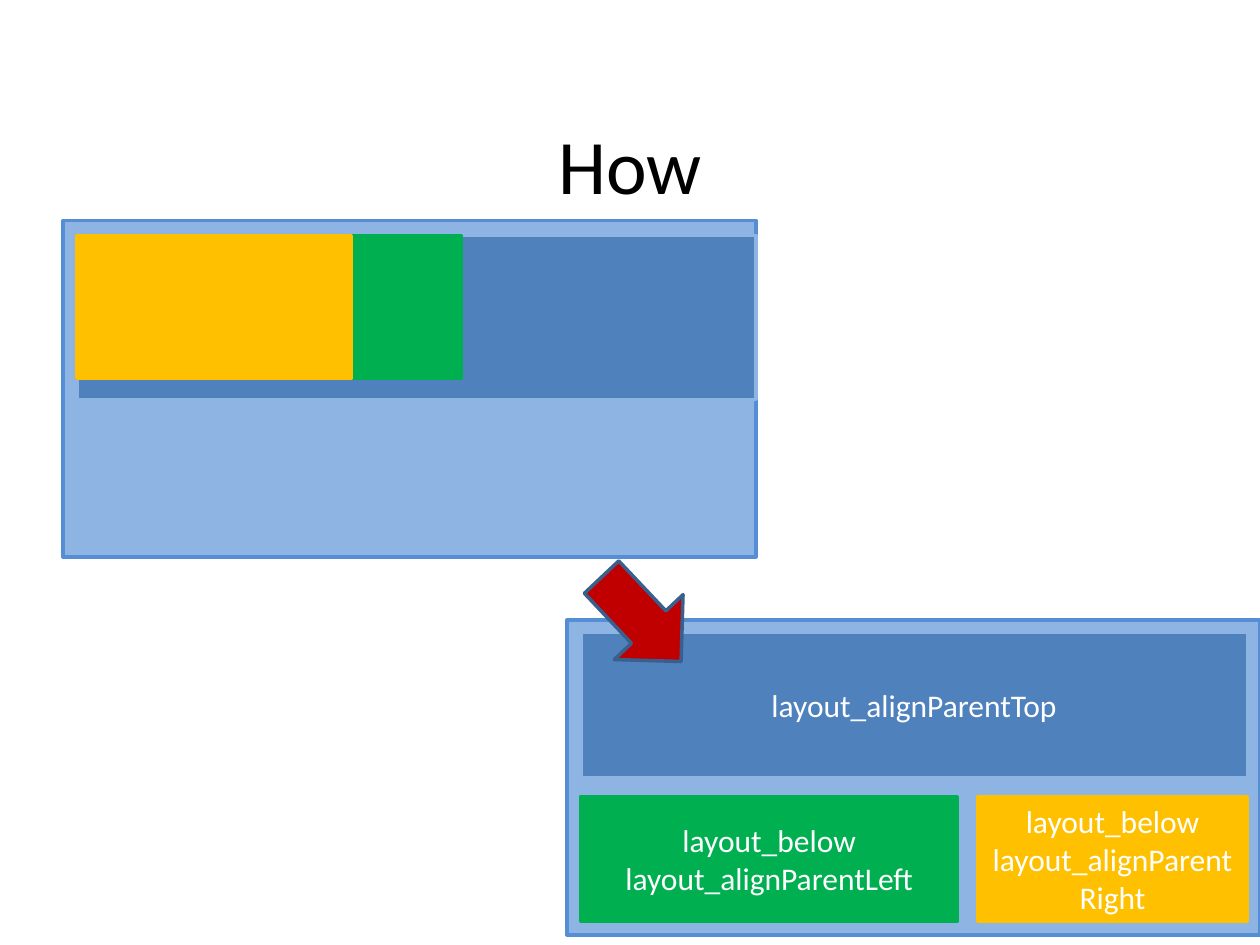
import pptx
import pptx.util
import pptx.dml.color
import pptx.enum.shapes
import pptx.enum.text

Inches = pptx.util.Inches
Pt = pptx.util.Pt
KIND = pptx.enum.shapes.MSO_SHAPE

PALE, EDGE, BLUE = "8EB4E3", "558ED5", "4F81BD"
GREEN, GOLD, RED, NAVY = "00B050", "FFC000", "C00000", "3A5F8C"


def paint(part, tone):
    """Give a fill, line or font a solid hex colour."""
    if hasattr(part, "solid"):
        part.solid()
        part = part.fore_color
    else:
        part = part.color
    part.rgb = pptx.dml.color.RGBColor.from_string(tone)


class Deck:
    frame = {"word_wrap": True, "vertical_anchor": pptx.enum.text.MSO_ANCHOR.MIDDLE}
    font = {"name": "Calibri"}
    width = Pt(2)

    def __init__(self, wide, high):
        self.file = pptx.Presentation()
        self.file.slide_width, self.file.slide_height = Inches(wide), Inches(high)
        self.slide = self.file.slides.add_slide(self.file.slide_layouts[6])

    def label(self, shape, lines, size, tone):
        body = shape.text_frame
        for key, value in self.frame.items():
            setattr(body, key, value)
        body.text = "\n".join(lines)
        for para in body.paragraphs:
            para.alignment = pptx.enum.text.PP_ALIGN.CENTER
            for run in para.runs:
                for key, value in {**self.font, "size": Pt(size)}.items():
                    setattr(run.font, key, value)
                paint(run.font, tone)

    def title(self, text, box):
        shape = self.slide.shapes.add_textbox(*map(Inches, box))
        self.label(shape, [text], 44, "000000")

    def shape(self, home, box, fill, line, lines=(), kind=KIND.RECTANGLE, turn=0):
        shape = home.shapes.add_shape(kind, *map(Inches, box))
        shape.shadow.inherit = False
        shape.rotation = turn
        paint(shape.fill, fill)
        paint(shape.line, line)
        shape.line.width = self.width
        if lines:
            self.label(shape, lines, 18, "FFFFFF")

    def group(self, items):
        home = self.slide.shapes.add_group_shape()
        for item in items:
            self.shape(home, *item)

    def arrow(self, box, turn):
        self.shape(self.slide, box, RED, NAVY, kind=KIND.RIGHT_ARROW, turn=turn)


def main():
    deck = Deck(10, 7.5)
    deck.title("How", (0.5, 0.67, 9, 1.25))

    # Views stacked on top of each other
    left, top = 0.61, 1.87
    deck.group([
        ((0.5, 1.75, 5.5, 2.67), PALE, EDGE),
        ((left, top, 5.39, 1.3), BLUE, PALE),
        ((left, top, 3.05, 1.13), GREEN, GREEN),
        ((left, top, 2.18, 1.13), GOLD, GOLD),
    ])

    # Views placed by layout rules
    left, low, high = 4.61, 6.32, 0.99
    deck.group([
        ((4.5, 4.92, 5.5, 2.5), PALE, EDGE),
        ((left, 5.02, 5.29, 1.15), BLUE, PALE, ["layout_alignParentTop"]),
        ((left, low, 2.99, high), GREEN, GREEN,
         ["layout_below", "layout_alignParentLeft"]),
        ((7.76, low, 2.14, high), GOLD, GOLD,
         ["layout_below", "layout_alignParentRight"]),
    ])

    # Arrow from the first state to the second
    deck.arrow((4.63, 4.54, 0.92, 0.75), 46.7)

    deck.file.save("out.pptx")


if __name__ == "__main__":
    main()
